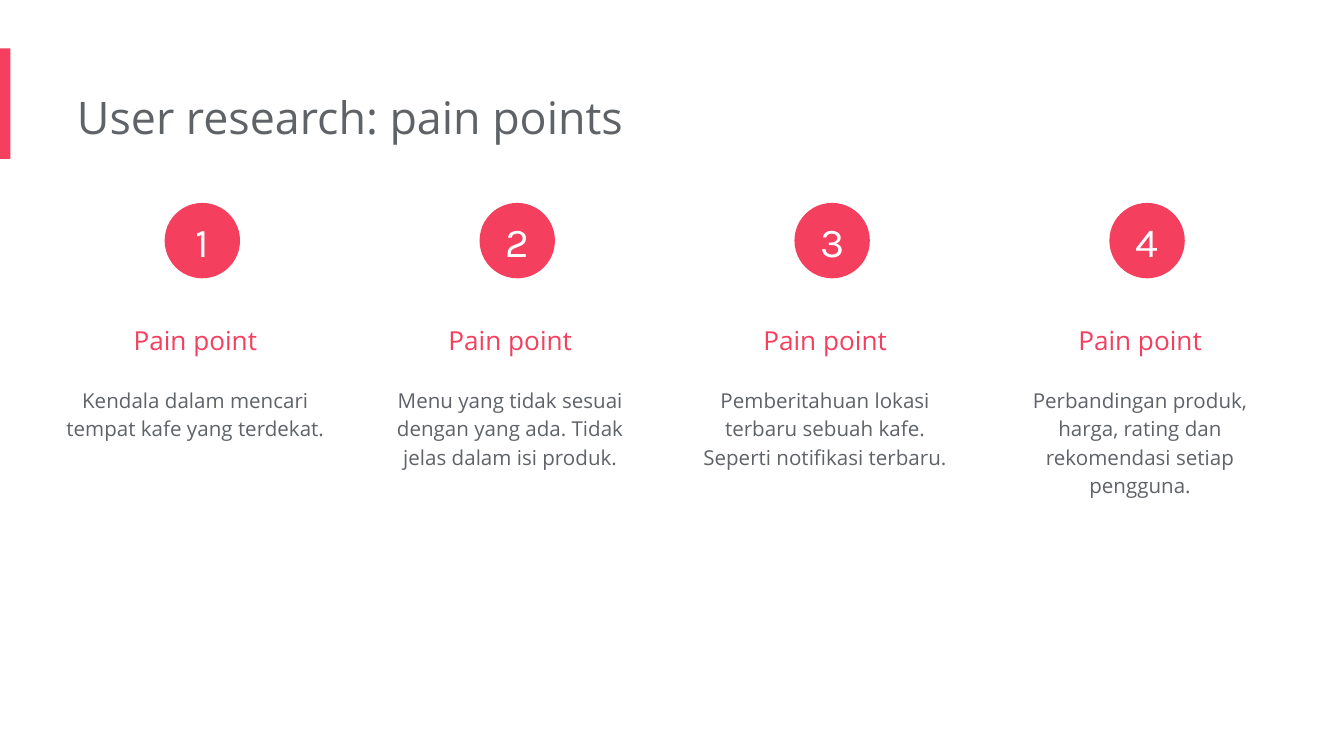
from pptx import Presentation
from pptx.dml.color import RGBColor
from pptx.enum.shapes import MSO_SHAPE
from pptx.enum.text import MSO_ANCHOR, MSO_AUTO_SIZE, PP_ALIGN
from pptx.util import Pt

RECTANGLE, OVAL = MSO_SHAPE.RECTANGLE, MSO_SHAPE.OVAL
LEFT, CENTER = PP_ALIGN.LEFT, PP_ALIGN.CENTER
TOP, MIDDLE = MSO_ANCHOR.TOP, MSO_ANCHOR.MIDDLE
FIT_SHAPE = MSO_AUTO_SIZE.SHAPE_TO_FIT_TEXT

COLORS = {"accent": "F43F5E", "text": "5F6368", "white": "FFFFFF"}
TITLE_ONLY_LAYOUT = 5

# Column grid, in points
COLUMN_LEFT, COLUMN_TOP = 34.4, 108.7
COLUMN_WIDTH, COLUMN_PITCH = 147.6, 168.7

# Text and text box height of each pain point
PAIN_POINTS = [
    ("Kendala dalam mencari tempat kafe yang terdekat.", 43.2),
    ("Menu yang tidak sesuai dengan yang ada. Tidak jelas dalam isi produk.", 90.7),
    ("Pemberitahuan lokasi terbaru sebuah kafe. Seperti notifikasi terbaru.", 58.3),
    ("Perbandingan produk, harga, rating dan rekomendasi setiap pengguna.", 105.8),
]


def color(name):
    return RGBColor.from_string(COLORS[name])


def set_text(shape, text, size, color_name, font="Open Sans", align=CENTER,
             spacing=1.0):
    frame = shape.text_frame
    frame.text = text
    frame.word_wrap = True
    frame.vertical_anchor = TOP
    frame.margin_left = 0
    frame.margin_top = frame.margin_right = frame.margin_bottom = Pt(7.2)
    paragraph = frame.paragraphs[0]
    paragraph.alignment = align
    paragraph.line_spacing = spacing
    run_font = paragraph.runs[0].font
    run_font.name = font
    run_font.size = Pt(size)
    run_font.color.rgb = color(color_name)
    return frame


def add_text(slide, left, top, width, height, text, size, color_name, spacing):
    box = slide.shapes.add_textbox(Pt(left), Pt(top), Pt(width), Pt(height))
    frame = set_text(box, text, size, color_name, spacing=spacing)
    frame.auto_size = FIT_SHAPE


def add_accent_shape(slide, kind, left, top, width, height):
    shape = slide.shapes.add_shape(kind, Pt(left), Pt(top), Pt(width), Pt(height))
    shape.shadow.inherit = False
    shape.fill.solid()
    shape.fill.fore_color.rgb = color("accent")
    shape.line.fill.background()
    return shape


def add_header(slide, left, top, width, height):
    # Accent bar at the slide edge
    add_accent_shape(slide, RECTANGLE, 0, top - 15, 5.6, 59.2)

    # Title
    title = slide.shapes.title
    title.left, title.top = Pt(left), Pt(top)
    title.width, title.height = Pt(width), Pt(height)
    frame = set_text(title, "User research: pain points", 24, "text", align=LEFT)
    frame.auto_size = FIT_SHAPE


def add_pain_point(slide, left, top, width, number, description, text_height):
    # Heading and description
    add_text(slide, left, top + 49.7, width, 31.7, "Pain point", 14, "accent", 1.5)
    add_text(slide, left, top + 90, width, text_height, description, 11, "text", 1.15)

    # Numbered circle
    circle = add_accent_shape(slide, OVAL, left + 53.8, top, 40.4, 40.4)
    frame = set_text(circle, str(number), 22, "white", font="Karla")
    frame.vertical_anchor = MIDDLE
    frame.margin_top = frame.margin_right = frame.margin_bottom = 0


def main():
    presentation = Presentation()
    presentation.slide_width, presentation.slide_height = Pt(720), Pt(405)
    layout = presentation.slide_layouts[TITLE_ONLY_LAYOUT]
    slide = presentation.slides.add_slide(layout)

    add_header(slide, 41.2, 41, 484.6, 43.9)
    for index, (description, text_height) in enumerate(PAIN_POINTS):
        add_pain_point(slide, COLUMN_LEFT + index * COLUMN_PITCH, COLUMN_TOP,
                       COLUMN_WIDTH, index + 1, description, text_height)

    presentation.save("out.pptx")


if __name__ == "__main__":
    main()
